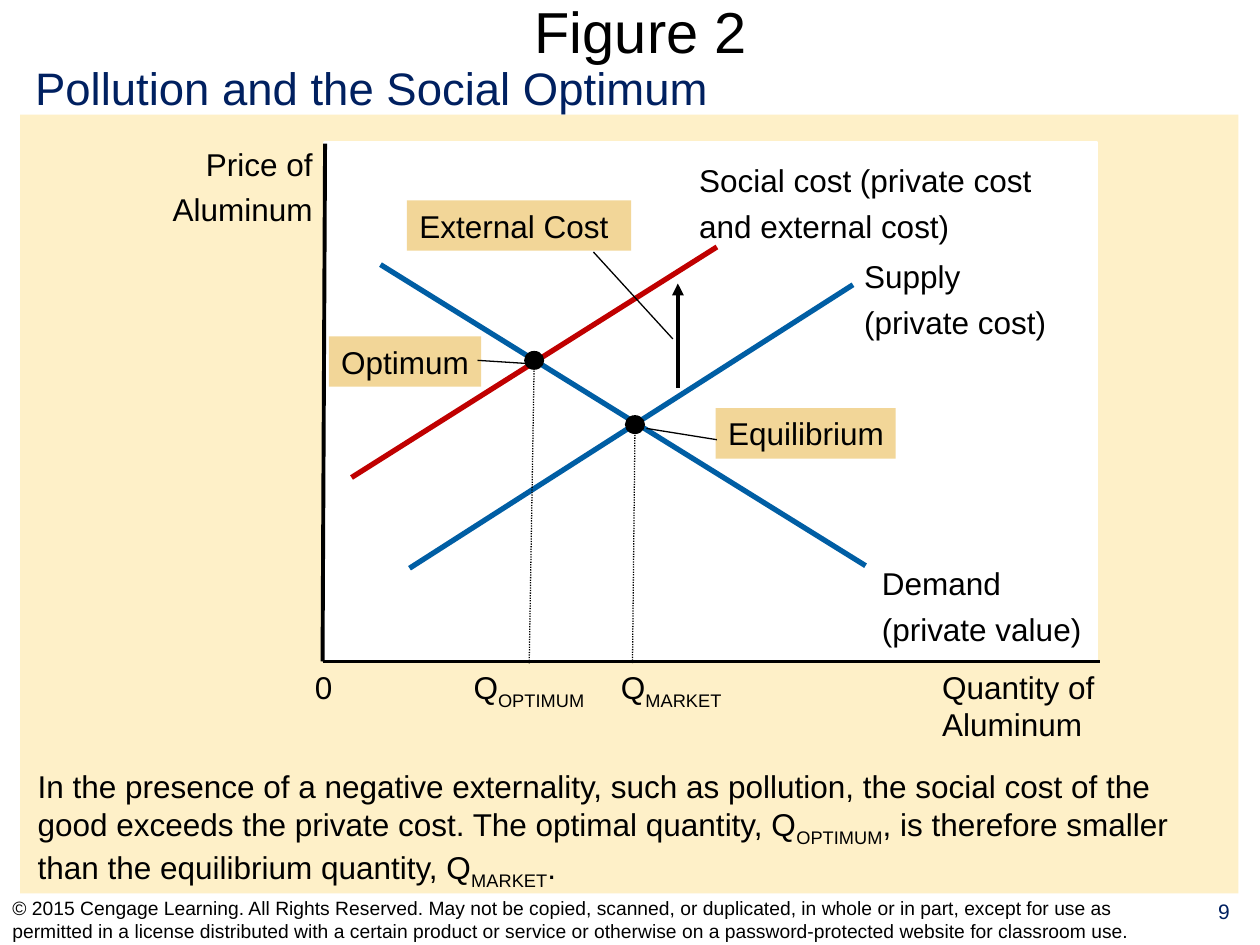
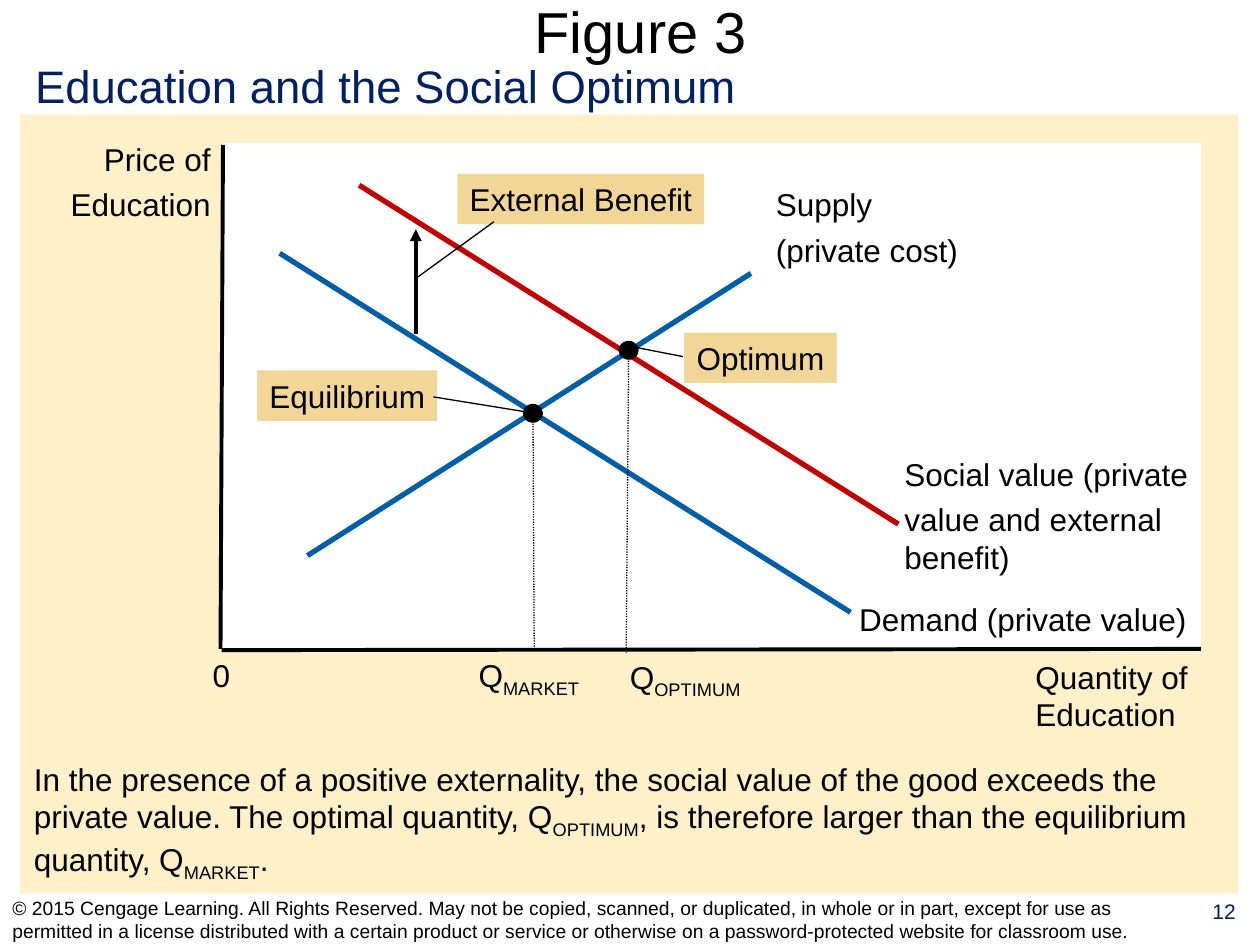
from dataclasses import dataclass

from lxml.etree import SubElement
from pptx import Presentation
from pptx.dml.color import RGBColor
from pptx.enum.dml import MSO_LINE
from pptx.enum.shapes import MSO_CONNECTOR, MSO_SHAPE
from pptx.enum.text import MSO_ANCHOR, MSO_AUTO_SIZE, PP_ALIGN
from pptx.oxml.ns import qn
from pptx.util import Inches, Pt


# Theme
@dataclass(frozen=True)
class Theme:
    font: str = "Arial"
    black: str = "000000"
    white: str = "FFFFFF"
    navy: str = "002060"
    band: str = "FEF0C8"
    callout: str = "F2D698"
    private_curve: str = "005EA4"
    social_curve: str = "C00000"
    title: float = 33
    subtitle: float = 26
    text: float = 18
    page: float = 12
    footer: float = 11
    curve: float = 3
    axis: float = 2.25
    thin: float = 0.75


THEME = Theme()


# Content: boxes are (left, top, width, height), lines are (start, end), in inches
@dataclass(frozen=True)
class Label:
    lines: tuple
    box: tuple
    wrap: bool = False


@dataclass(frozen=True)
class Callout:
    label: Label
    leader: tuple


@dataclass(frozen=True)
class Point:
    center: tuple
    foot: tuple
    quantity: Label
    callout: Callout


COPYRIGHT = (
    "© 2015 Cengage Learning. All Rights Reserved. May not be copied, scanned, or "
    "duplicated, in whole or in part, except for use as permitted in a license "
    "distributed with a certain product or service or otherwise on a "
    "password-protected website for classroom use."
)

# Text between bars is set as a subscript
MARKET, OPTIMUM = "Q|MARKET|", "Q|OPTIMUM|"

FIGURES = [
    {
        "title": "Figure 2",
        "page": "9",
        "subtitle": Label(("Pollution and the Social Optimum",), (0.18, 0.43, 5.55, 0.54)),
        "caption": Label((
            "In the presence of a negative externality, such as pollution, the social "
            f"cost of the good exceeds the private cost. The optimal quantity, {OPTIMUM}, "
            f"is therefore smaller than the equilibrium quantity, {MARKET}.",
        ), (0.2, 6.04, 9.6, 1.08), True),
        "panel": (2.58, 1.13, 6.12, 4.1),
        "axes": [((2.58, 1.14), (2.56, 5.25)), ((2.56, 5.25), (8.73, 5.25))],
        "price": Label(("Price of", "Aluminum"), (1.13, 1.1, 1.45, 0.77), True),
        "labels": [
            Label(("Quantity of Aluminum",), (7.38, 5.25, 1.56, 0.7), True),
            Label(("0",), (2.4, 5.25, 0.34, 0.4)),
            Label(("Demand", "(private value)"), (6.9, 4.43, 1.78, 0.77)),
            Label(("Supply", "(private cost)"), (6.76, 1.99, 1.64, 0.77)),
            Label(("Social cost (private cost", "and external cost)"),
                  (5.45, 1.23, 2.84, 0.77)),
        ],
        "private": [((3.02, 2.1), (6.87, 4.49)), ((3.25, 4.51), (6.77, 2.26))],
        "social": ((2.79, 3.79), (5.69, 1.96)),
        "shift": ((5.38, 3.08), (5.38, 2.25)),
        "external": Callout(Label(("External Cost",), (3.23, 1.59, 1.78, 0.4), True),
                            ((4.71, 2), (5.34, 2.69))),
        "points": [
            Point((5.04, 3.37), (5.02, 5.27),
                  Label((MARKET,), (4.83, 5.25, 1, 0.44)),
                  Callout(Label(("Equilibrium",), (5.68, 3.24, 1.43, 0.4)),
                          ((5.13, 3.4), (5.69, 3.49)))),
            Point((4.24, 2.86), (4.2, 5.27),
                  Label((OPTIMUM,), (3.66, 5.25, 1.08, 0.44)),
                  Callout(Label(("Optimum",), (2.61, 2.67, 1.21, 0.4)),
                          ((3.79, 2.86), (4.26, 2.89)))),
        ],
    },
    {
        "title": "Figure 3",
        "page": "12",
        "subtitle": Label(("Education and the Social Optimum",), (0.18, 0.41, 5.77, 0.54)),
        "caption": Label((
            "In the presence of a positive externality, the social value of the good "
            f"exceeds the private value. The optimal quantity, {OPTIMUM}, is therefore "
            f"larger than the equilibrium quantity, {MARKET}.",
        ), (0.17, 5.98, 9.62, 1.08), True),
        "panel": (1.77, 1.15, 7.75, 3.99),
        "axes": [((1.77, 1.15), (1.75, 5.15)), ((1.76, 5.16), (9.53, 5.15))],
        "price": Label(("Price of", "Education"), (0.38, 1.06, 1.39, 0.77), True),
        "labels": [
            Label(("Quantity of Education",), (8.12, 5.17, 1.57, 0.7), True),
            Label(("0",), (1.59, 5.16, 0.34, 0.4)),
            Label(("Demand (private value)",), (6.72, 4.71, 2.8, 0.4)),
            Label(("Supply", "(private cost)"), (6.06, 1.42, 1.64, 0.77)),
            Label(("Social value (private", "value and external benefit)"),
                  (7.08, 3.56, 2.48, 1.07), True),
        ],
        "private": [((2.22, 2.01), (6.75, 4.86)), ((2.44, 4.41), (5.96, 2.17))],
        "social": ((2.85, 1.47), (7.13, 4.16)),
        "shift": ((3.3, 2.65), (3.3, 1.82)),
        "external": Callout(Label(("External Benefit",), (3.63, 1.38, 1.96, 0.4)),
                            ((3.92, 1.76), (3.3, 2.21))),
        "points": [
            Point((4.23, 3.28), (4.24, 5.16),
                  Label((MARKET,), (3.7, 5.16, 1, 0.44)),
                  Callout(Label(("Equilibrium",), (2.04, 2.94, 1.43, 0.4)),
                          ((3.44, 3.15), (4.18, 3.27)))),
            Point((4.99, 2.78), (4.97, 5.18),
                  Label((OPTIMUM,), (4.9, 5.17, 1.08, 0.44)),
                  Callout(Label(("Optimum",), (5.43, 2.64, 1.21, 0.4)),
                          ((5.42, 2.83), (5.06, 2.76)))),
        ],
    },
]

BAND_BOX = (0.16, 0.91, 9.67, 6.18)
TITLE_BOX = (0.35, 0, 9.47, 0.49)
PAGE_BOX = (9.43, 7.08, 0.57, 0.41)
FOOTER_BOX = (0, 7.1, 9.42, 0.4)
DOT_SIZE = (0.16, 0.15)


# Drawing helpers
def inches(values):
    return [Inches(value) for value in values]


def color(value):
    return RGBColor.from_string(value)


def write(shape, lines, size, ink=THEME.black, align=PP_ALIGN.LEFT,
          anchor=MSO_ANCHOR.TOP, wrap=True):
    frame = shape.text_frame
    frame.word_wrap = wrap
    frame.auto_size = MSO_AUTO_SIZE.NONE
    frame.vertical_anchor = anchor
    for index, line in enumerate(lines):
        paragraph = frame.add_paragraph() if index else frame.paragraphs[0]
        paragraph.alignment = align
        paragraph.space_before = Pt(size / 4 if index else 0)
        for part, words in enumerate(line.split("|")):
            if words:
                run = paragraph.add_run()
                run.text = words
                if part % 2:
                    run._r.get_or_add_rPr().set("baseline", "-25000")
        paragraph.font.name = THEME.font
        paragraph.font.size = Pt(size)
        paragraph.font.color.rgb = color(ink)


def add_text(slide, label, size=THEME.text, **style):
    shape = slide.shapes.add_textbox(*inches(label.box))
    write(shape, label.lines, size, wrap=label.wrap, **style)


def add_filled(slide, kind, box, fill):
    shape = slide.shapes.add_shape(kind, *inches(box))
    shape.shadow.inherit = False
    shape.fill.solid()
    shape.fill.fore_color.rgb = color(fill)
    shape.line.fill.background()
    return shape


def add_line(slide, ends, width, ink=THEME.black, dash=None, arrow=False):
    start, end = ends
    connector = slide.shapes.add_connector(
        MSO_CONNECTOR.STRAIGHT, *inches(start), *inches(end))
    connector.line.width = Pt(width)
    connector.line.color.rgb = color(ink)
    if dash:
        connector.line.dash_style = dash
    if arrow:
        SubElement(connector.line._get_or_add_ln(), qn("a:tailEnd"), type="triangle")
    SubElement(connector._element.spPr, qn("a:effectLst"))


def add_callout(slide, callout):
    label = callout.label
    shape = add_filled(slide, MSO_SHAPE.RECTANGLE, label.box, THEME.callout)
    write(shape, label.lines, THEME.text, wrap=label.wrap)
    add_line(slide, callout.leader, THEME.thin)


# Parts of a slide
def add_frame(slide, figure):
    add_filled(slide, MSO_SHAPE.RECTANGLE, BAND_BOX, THEME.band)
    title = slide.shapes.title
    title.left, title.top, title.width, title.height = inches(TITLE_BOX)
    write(title, [figure["title"]], THEME.title, align=PP_ALIGN.CENTER,
          anchor=MSO_ANCHOR.MIDDLE)
    add_text(slide, figure["subtitle"], THEME.subtitle, ink=THEME.navy)
    add_text(slide, Label((figure["page"],), PAGE_BOX, True), THEME.page,
             ink=THEME.navy, align=PP_ALIGN.CENTER)
    add_text(slide, Label((COPYRIGHT,), FOOTER_BOX, True), THEME.footer,
             anchor=MSO_ANCHOR.MIDDLE)
    add_text(slide, figure["caption"])


def add_diagram(slide, figure):
    panel = add_filled(slide, MSO_SHAPE.RECTANGLE, figure["panel"], THEME.white)
    panel.line.color.rgb = color(THEME.white)
    panel.line.width = Pt(2)
    for axis in figure["axes"]:
        add_line(slide, axis, THEME.axis)
    add_text(slide, figure["price"], align=PP_ALIGN.RIGHT)
    for label in figure["labels"]:
        add_text(slide, label)

    # Curves and the external effect
    for curve in figure["private"]:
        add_line(slide, curve, THEME.curve, THEME.private_curve)
    add_line(slide, figure["social"], THEME.curve, THEME.social_curve)
    add_line(slide, figure["shift"], THEME.axis, arrow=True)
    add_callout(slide, figure["external"])

    # Marked points with their quantities
    width, height = DOT_SIZE
    for point in figure["points"]:
        x, y = point.center
        add_line(slide, (point.center, point.foot), THEME.thin, dash=MSO_LINE.ROUND_DOT)
        add_filled(slide, MSO_SHAPE.OVAL,
                   (x - width / 2, y - height / 2, width, height), THEME.black)
        add_text(slide, point.quantity)
        add_callout(slide, point.callout)


def main():
    presentation = Presentation()
    presentation.slide_width, presentation.slide_height = inches((10, 7.5))
    title_only = presentation.slide_layouts[5]
    for figure in FIGURES:
        slide = presentation.slides.add_slide(title_only)
        add_frame(slide, figure)
        add_diagram(slide, figure)
    presentation.save("out.pptx")


if __name__ == "__main__":
    main()
